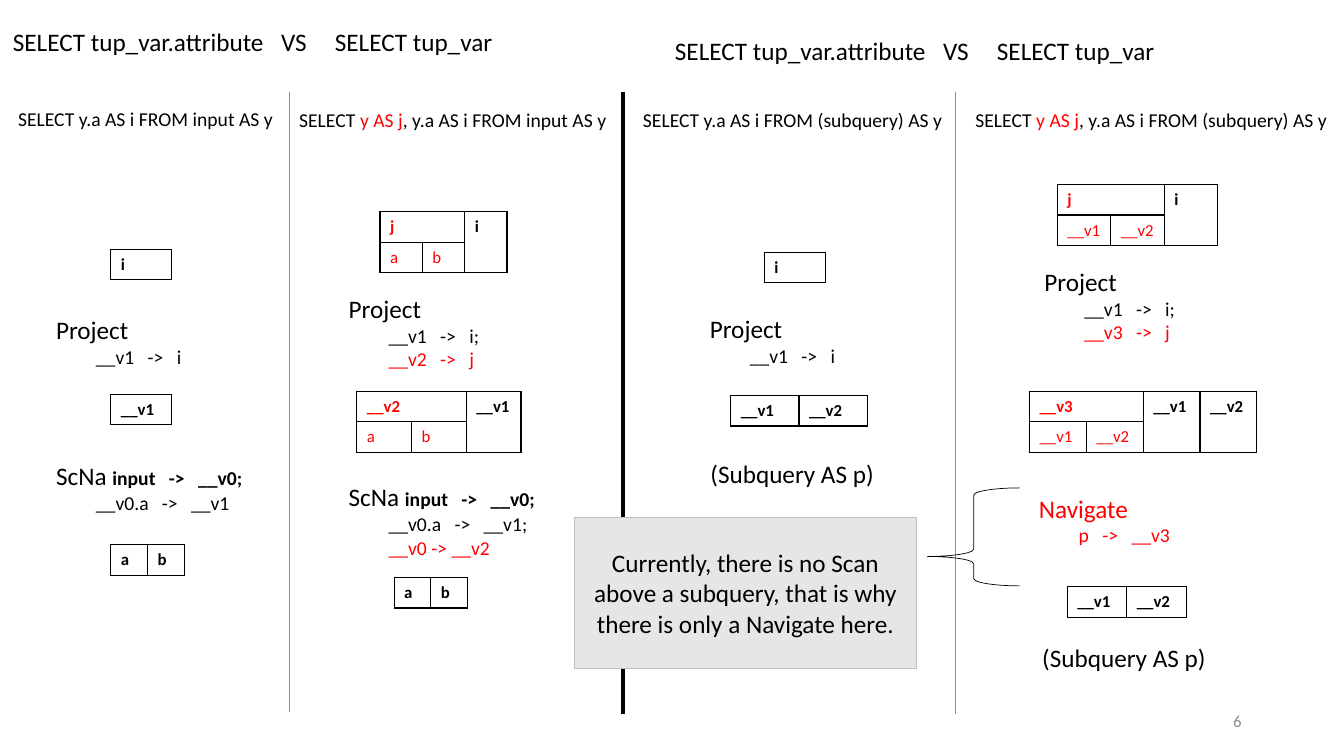
import pptx
import pptx.util
import pptx.dml.color
import pptx.enum.shapes
import pptx.enum.text
import pptx.oxml
import pptx.oxml.ns
from lxml import etree

Pt = pptx.util.Pt
ALIGN = pptx.enum.text.PP_ALIGN
ANCHOR = pptx.enum.text.MSO_ANCHOR
SHAPE = pptx.enum.shapes.MSO_SHAPE

COLORS = {"black": "000000", "red": "FF0000", "white": "FFFFFF", "blue": "5B9BD5",
          "note": "E7E6E6", "note_edge": "BFBFBF", "number": "8C8C8C"}
FONT = "Calibri"
HEADING = "SELECT tup_var.attribute\tVS\tSELECT tup_var"
HEADING_STOPS = (191.5, 230)
INDENT = 28.5        # where mappings start
ARROW_STEP = 20.8    # from an arrow to its target
ROW_HEIGHT = 21.8


def rgb(name):
    return pptx.dml.color.RGBColor.from_string(COLORS[name])


def write(paragraph, text, size=14, color="black", bold=False, align=ALIGN.LEFT):
    paragraph.alignment = align
    run = paragraph.add_run()
    run.text = text
    run.font.name = FONT
    run.font.size = Pt(size)
    run.font.bold = bold
    run.font.color.rgb = rgb(color)


def set_tabs(paragraph, stops):
    properties = paragraph._p.get_or_add_pPr()
    tabs = etree.SubElement(properties, pptx.oxml.ns.qn("a:tabLst"))
    for stop in stops:
        etree.SubElement(tabs, pptx.oxml.ns.qn("a:tab"), pos=str(Pt(stop)), algn="l")


def add_label(slide, left, top, width, height=24.5):
    frame = slide.shapes.add_textbox(Pt(left), Pt(top), Pt(width), Pt(height)).text_frame
    frame.word_wrap = True
    return frame


def add_query(slide, left, top, width, source, with_tuple=False):
    paragraph = add_label(slide, left, top, width).paragraphs[0]
    write(paragraph, "SELECT ")
    if with_tuple:
        write(paragraph, "y AS j", color="red")
        write(paragraph, ", ")
    write(paragraph, f"y.a AS i FROM {source} AS y")


def add_operator(slide, left, top, name, mappings, color="black", scan=False):
    """Each mapping is (text, arrow offset or None, colour)."""
    frame = add_label(slide, left, top, 152, 29 + 17 * len(mappings))
    heading = frame.paragraphs[0]
    write(heading, name, size=18, color=color)
    if scan:
        write(heading, " ", size=18)
        write(heading, "input\t->\t__v0;", bold=True)
        set_tabs(heading, (80.6, 80.6 + ARROW_STEP))
    for text, arrow, mapping_color in mappings:
        line = frame.add_paragraph()
        write(line, "\t" + text, color=mapping_color)
        set_tabs(line, (INDENT, arrow, arrow + ARROW_STEP) if arrow else (INDENT,))


def add_subquery(slide, left, top):
    write(add_label(slide, left, top, 136, 46).paragraphs[0], "(Subquery AS p)", size=18)


def fill_cell(cell, text, color, bold):
    write(cell.text_frame.paragraphs[0], text, size=12, color=color, bold=bold)


def add_tuple(slide, left, top, column, plain, record=None, fields=()):
    """Draws a tuple schema; a record spans its fields, plain columns follow."""
    rows, columns = (2 if record else 1), len(fields) + len(plain)
    table = slide.shapes.add_table(rows, columns, Pt(left), Pt(top), Pt(column * columns),
                                   Pt(ROW_HEIGHT * rows)).table
    table.first_row = table.horz_banding = False
    for table_column in table.columns:
        table_column.width = Pt(column)
    for table_row in table.rows:
        table_row.height = Pt(ROW_HEIGHT)
    for cell in table.iter_cells():
        properties = cell._tc.get_or_add_tcPr()
        for side in ("lnL", "lnR", "lnT", "lnB"):
            properties.append(pptx.oxml.parse_xml(
                f'<a:{side} {pptx.oxml.ns.nsdecls("a")} w="{Pt(1)}"><a:solidFill>'
                f'<a:srgbClr val="{COLORS["black"]}"/></a:solidFill></a:{side}>'))
        cell.fill.solid()
        cell.fill.fore_color.rgb = rgb("white")
    if record:
        table.cell(0, 0).merge(table.cell(0, len(fields) - 1))
        fill_cell(table.cell(0, 0), record, "red", True)
    for index, field in enumerate(fields):
        fill_cell(table.cell(1, index), field, "red", False)
    for index, attribute in enumerate(plain, len(fields)):
        if record:
            table.cell(0, index).merge(table.cell(1, index))
        fill_cell(table.cell(0, index), attribute, "black", True)


def add_divider(slide, x, bottom, color, weight):
    divider = slide.shapes.add_connector(pptx.enum.shapes.MSO_CONNECTOR.STRAIGHT,
                                         Pt(x), Pt(65.5), Pt(x), Pt(bottom))
    divider.line.color.rgb = rgb(color)
    divider.line.width = Pt(weight)
    etree.SubElement(divider._element.spPr, pptx.oxml.ns.qn("a:effectLst"))


def add_outline(slide, kind, left, top, width, height, color, weight):
    outline = slide.shapes.add_shape(kind, Pt(left), Pt(top), Pt(width), Pt(height))
    outline.shadow.inherit = False
    outline.line.color.rgb = rgb(color)
    outline.line.width = Pt(weight)
    return outline


def add_headings(slide):
    title = slide.shapes.title
    title.left, title.top, title.width, title.height = Pt(2), Pt(15), Pt(378), Pt(29)
    title.text_frame.auto_size = pptx.enum.text.MSO_AUTO_SIZE.NONE
    title.text_frame.vertical_anchor = ANCHOR.TOP
    title.text_frame.word_wrap = True
    right_heading = add_label(slide, 475, 21.5, 378, 29)
    for frame in (title.text_frame, right_heading):
        write(frame.paragraphs[0], HEADING, size=18)
        set_tabs(frame.paragraphs[0], HEADING_STOPS)


def main():
    deck = pptx.Presentation()
    deck.slide_width, deck.slide_height = Pt(960), Pt(540)
    slide = deck.slides.add_slide(deck.slide_layouts[5])
    add_headings(slide)
    v1_to_i = ("__v1\t->\ti", 65.4, "black")
    v1_to_i_more = ("__v1\t->\ti;", 65.4, "black")

    # Attribute over input
    add_query(slide, 5.8, 73, 202, "input")
    add_tuple(slide, 79.2, 178, 43.5, ["i"])
    add_operator(slide, 33, 221, "Project", [v1_to_i])
    add_tuple(slide, 79.2, 281.5, 43.5, ["__v1"])
    add_operator(slide, 33, 325.5, "ScNa", [("__v0.a\t->\t__v1", 75.6, "black")], scan=True)
    add_tuple(slide, 79.2, 389, 26.2, ["a", "b"])

    # Tuple variable over input
    add_query(slide, 206.6, 73.5, 239, "input", with_tuple=True)
    add_tuple(slide, 271.4, 151.2, 30.3, ["i"], "j", ["a", "b"])
    add_operator(slide, 242, 206, "Project",
                 [v1_to_i_more, ("__v2\t->\tj", 65.4, "red")])
    add_tuple(slide, 254.9, 279.4, 39.1, ["__v1"], "__v2", ["a", "b"])
    add_operator(slide, 242, 340.5, "ScNa", [("__v0.a\t->\t__v1;", 75.6, "black"),
                                             ("__v0 -> __v2", None, "red")], scan=True)
    add_tuple(slide, 281.5, 412.5, 26.2, ["a", "b"])

    # Attribute over subquery
    add_query(slide, 452.2, 73.5, 233, "(subquery)")
    add_tuple(slide, 546, 180.2, 43.5, ["i"])
    add_operator(slide, 500, 220.3, "Project", [v1_to_i])
    add_tuple(slide, 522, 282.5, 48.7, ["__v1", "__v2"])
    add_subquery(slide, 500.4, 323.5)

    # Tuple variable over subquery
    add_query(slide, 689.6, 73.5, 270, "(subquery)", with_tuple=True)
    add_tuple(slide, 755.3, 131.8, 38.2, ["i"], "j", ["__v1", "__v2"])
    add_operator(slide, 739, 186.7, "Project",
                 [v1_to_i_more, ("__v3\t->\tj", 65.4, "red")])
    add_tuple(slide, 735.4, 279.4, 40.6, ["__v1", "__v2"], "__v3", ["__v1", "__v2"])
    add_operator(slide, 735, 348.7, "Navigate", [("p\t->\t__v3", 45.4, "red")], color="red")
    add_tuple(slide, 762.3, 419, 42.6, ["__v1", "__v2"])
    add_subquery(slide, 737.4, 455)

    # Dividers
    add_divider(slide, 206.8, 508.5, "blue", 0.5)
    add_divider(slide, 445, 510, "black", 2.25)
    add_divider(slide, 682.5, 510, "blue", 0.5)

    # Note on the missing scan
    brace = add_outline(slide, SHAPE.LEFT_BRACE, 662.5, 348.5, 66, 70, "black", 0.5)
    brace.fill.background()
    brace.adjustments[0], brace.adjustments[1] = 0.08, 0.7
    note = add_outline(slide, SHAPE.RECTANGLE, 410.5, 369.5, 244, 108, "note_edge", 1)
    note.fill.solid()
    note.fill.fore_color.rgb = rgb("note")
    note.text_frame.word_wrap = True
    note.text_frame.vertical_anchor = ANCHOR.MIDDLE
    write(note.text_frame.paragraphs[0], "Currently, there is no Scan above a subquery, "
          "that is why there is only a Navigate here.", size=18, align=ALIGN.CENTER)

    # Slide number
    number = add_label(slide, 678, 500.5, 216, 28.8)
    number.vertical_anchor = ANCHOR.MIDDLE
    write(number.paragraphs[0], "6", size=12, color="number", align=ALIGN.RIGHT)

    deck.save("out.pptx")


main()
